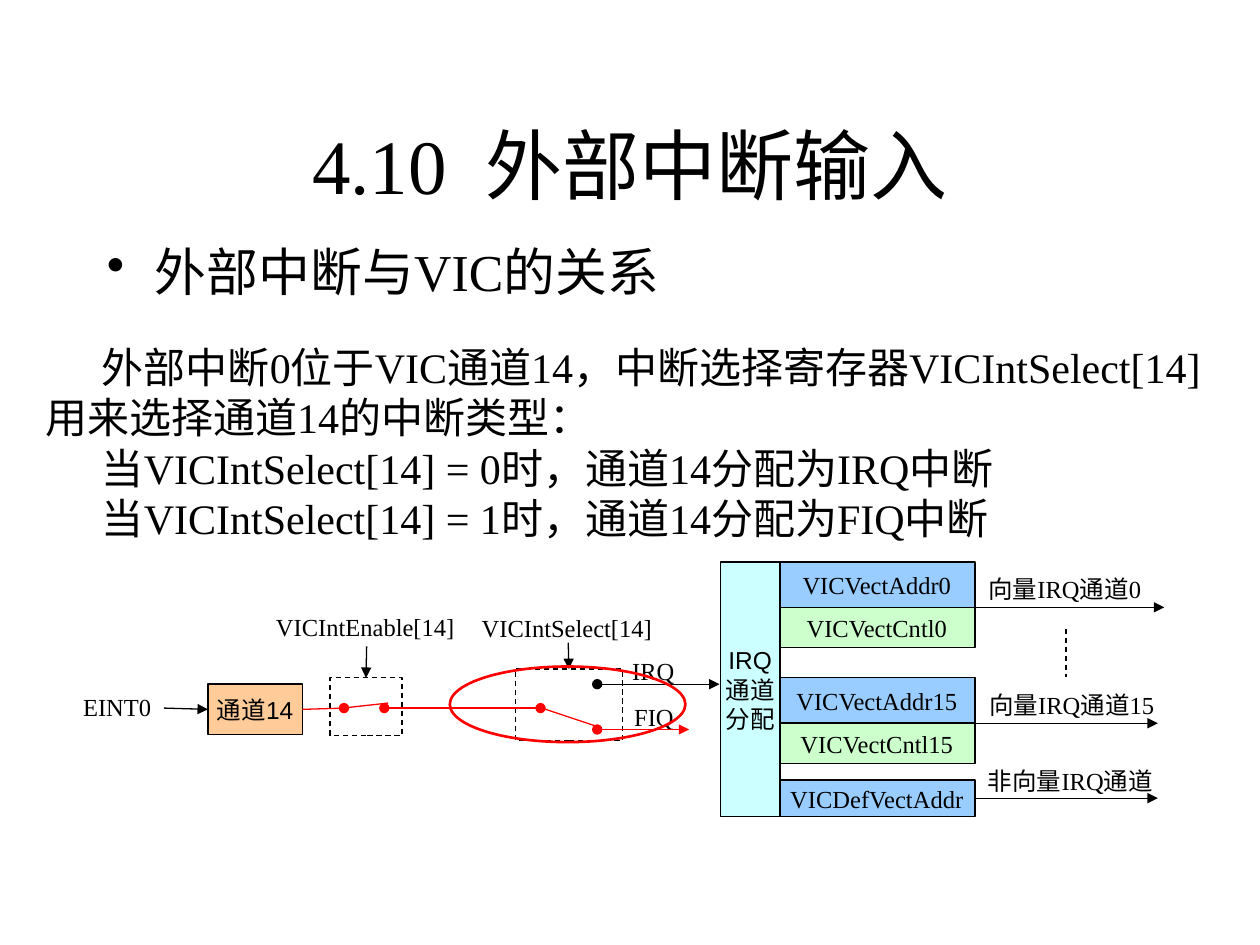
from lxml.etree import SubElement
from pptx import Presentation
from pptx.dml.color import RGBColor
from pptx.enum.dml import MSO_LINE
from pptx.enum.shapes import MSO_CONNECTOR, MSO_SHAPE
from pptx.enum.text import MSO_ANCHOR, PP_ALIGN
from pptx.oxml.ns import qn
from pptx.util import Inches, Pt

CELL = 0.1  # inches; the slide is a grid of 100 columns by 75 rows
TOP, LEFT, RIGHT = 0, 1, 3
BLACK, RED, WHITE = "000000", "FF0000", "FFFFFF"
ORANGE, BLUE, GREEN, CYAN = "FFCC99", "99CCFF", "CCFFCC", "CCFFFF"
SERIF, SANS = "Times New Roman", "Arial"


def grid(*cells):
    return [Inches(cell * CELL) for cell in cells]


def color(value):
    return RGBColor.from_string(value)


class Painter:
    """Draws styled elements on the current page; lengths are grid cells."""

    def __init__(self, page):
        self.page = page

    def fill_text(self, box, lines, size, font=SERIF, align=PP_ALIGN.CENTER,
                  anchor=MSO_ANCHOR.TOP, wrap=False):
        frame = box.text_frame
        frame.word_wrap = wrap
        frame.vertical_anchor = anchor
        for number, line in enumerate(lines):
            para = frame.add_paragraph() if number else frame.paragraphs[0]
            para.text = line
            para.alignment = align
            para.font.name = font
            para.font.size = Pt(size)
            para.font.color.rgb = color(BLACK)
        return frame.paragraphs

    def text(self, place, *lines, size=14, **style):
        box = self.page.shapes.add_textbox(*grid(*place))
        return self.fill_text(box, lines, size, **style)

    def indent(self, para, left, first, bullet=None):
        """Set the left margin and first-line offset, with an optional bullet."""
        props = para._p.get_or_add_pPr()
        props.set("marL", str(grid(left)[0]))
        props.set("indent", str(grid(first)[0]))
        if bullet:
            mark = SubElement(props, qn("a:buChar"), char=bullet)
            props.find(qn("a:defRPr")).addprevious(mark)

    def outline(self, item, line, width=0.75, dashed=False):
        item.line.color.rgb = color(line)
        item.line.width = Pt(width)
        if dashed:
            item.line.dash_style = MSO_LINE.DASH

    def shape(self, place, *lines, kind=MSO_SHAPE.RECTANGLE, fill=None,
              line=BLACK, width=0.75, dashed=False, font=SERIF):
        box = self.page.shapes.add_shape(kind, *grid(*place))
        box.shadow.inherit = False
        if fill:
            box.fill.solid()
            box.fill.fore_color.rgb = color(fill)
        else:
            box.fill.background()
        self.outline(box, line, width, dashed)
        if lines:
            self.fill_text(box, lines, 14, font, anchor=MSO_ANCHOR.MIDDLE)
        return box

    def line(self, start, end, line=BLACK, head=None, tail=None, dashed=False,
             begin=None, finish=None):
        """Draw a line; begin and finish are (box, side) pairs to join."""
        link = self.page.shapes.add_connector(
            MSO_CONNECTOR.STRAIGHT, *grid(*start, *end))
        self.outline(link, line, dashed=dashed)
        for tag, mark in (("a:headEnd", head), ("a:tailEnd", tail)):
            if mark:
                SubElement(link.line._get_or_add_ln(), qn(tag), type=mark)
        SubElement(link._element.spPr, qn("a:effectLst"))
        if begin:
            link.begin_connect(*begin)
        if finish:
            link.end_connect(*finish)


def draw_text(painter):
    painter.text((7.5, 6.7, 85, 12.5), "4.10  外部中断输入", size=44,
                 anchor=MSO_ANCHOR.MIDDLE, wrap=True)
    topic = painter.text((7.5, 19.1, 84.2, 6.3), "外部中断与VIC的关系",
                         size=29.6, align=PP_ALIGN.LEFT, wrap=True)[0]
    topic.line_spacing = 0.9
    topic.space_before = Pt(8)
    painter.indent(topic, 3.8, -3.8, "•")
    body = painter.text(
        (2.6, 26.6, 95.1, 17),
        "外部中断0位于VIC通道14，中断选择寄存器"
        "VICIntSelect[14]用来选择通道14的中断类型：",
        "当VICIntSelect[14] = 0时，通道14分配为IRQ中断",
        "当VICIntSelect[14] = 1时，通道14分配为FIQ中断",
        size=24, align=PP_ALIGN.LEFT, wrap=True)
    for para in body:
        painter.indent(para, 0, 4.5)


def draw_switches(painter):
    select = painter.shape((40.9, 53.1, 8.5, 5.7), fill=WHITE, dashed=True)
    enable = painter.shape((26.2, 53.8, 5.7, 4.6), fill=WHITE, dashed=True)
    channel = painter.shape((16.5, 54.3, 7.5, 4), "通道14",
                            fill=ORANGE, font=SANS)
    for left, top, width, label in (
            (5.2, 54.4, 8.2, "EINT0"),
            (20.3, 48.1, 17.4, "VICIntEnable[14]"),
            (36.5, 48.2, 17, "VICIntSelect[14]"),
            (47.8, 51.6, 8.1, "IRQ"),
            (49.3, 55.2, 5.2, "FIQ")):
        painter.text((left, top, width, 3.4), label)

    wire = 56.2
    painter.line((13, wire), (16.5, wire), tail="triangle",
                 finish=(channel, LEFT))
    painter.line((24, wire), (27.3, wire), RED, tail="oval",
                 begin=(channel, RIGHT))
    painter.line((27.2, wire), (30.8, 55.8), RED)
    painter.line((30.5, wire), (42.9, wire), RED, head="oval", tail="oval")
    painter.line((43, wire), (47.5, 57.7), RED)
    painter.line((47.4, 54.3), (57.1, 54.3), head="oval", tail="triangle")
    painter.line((47.4, 57.9), (54.7, 57.9), RED, head="oval", tail="triangle")
    painter.line((29.1, 51.3), (29.1, 53.8), tail="triangle",
                 finish=(enable, TOP))
    painter.line((45.1, 51), (45.1, 53.1), tail="triangle",
                 finish=(select, TOP))


def draw_vectors(painter):
    left, width = 61.8, 15.6
    right = left + width
    for number, top, label_width, tip in ((0, 44.6, 16.2, 92.4),
                                          (15, 53.8, 17.3, 91.9)):
        middle = top + 3.6
        painter.shape((left, top, width, 3.6), f"VICVectAddr{number}", fill=BLUE)
        painter.shape((left, middle, width, 3.2), f"VICVectCntl{number}",
                      fill=GREEN)
        painter.text((76.4, top + 0.5, label_width, 3.4), f"向量IRQ通道{number}")
        painter.line((right, middle), (tip, middle), tail="triangle")
    default = painter.shape((left, 61.9, width, 2.9), "VICDefVectAddr", fill=BLUE)
    painter.text((76.4, 60.3, 17.1, 3.4), "非向量IRQ通道")
    painter.line((right, 63.35), (91.9, 63.35), tail="triangle",
                 begin=(default, RIGHT))
    painter.line((84.6, 49.9), (84.6, 53.7), dashed=True)
    painter.shape((57.2, 44.6, 4.7, 20.2), "IRQ", "通道", "分配",
                  fill=CYAN, font=SANS)


def main():
    deck = Presentation()
    deck.slide_width, deck.slide_height = grid(100, 75)
    painter = Painter(deck.slides.add_slide(deck.slide_layouts[6]))
    draw_text(painter)
    draw_switches(painter)
    draw_vectors(painter)
    painter.shape((35.7, 52.9, 18.7, 6), kind=MSO_SHAPE.OVAL, line=RED, width=1.5)
    deck.save("out.pptx")


if __name__ == "__main__":
    main()
